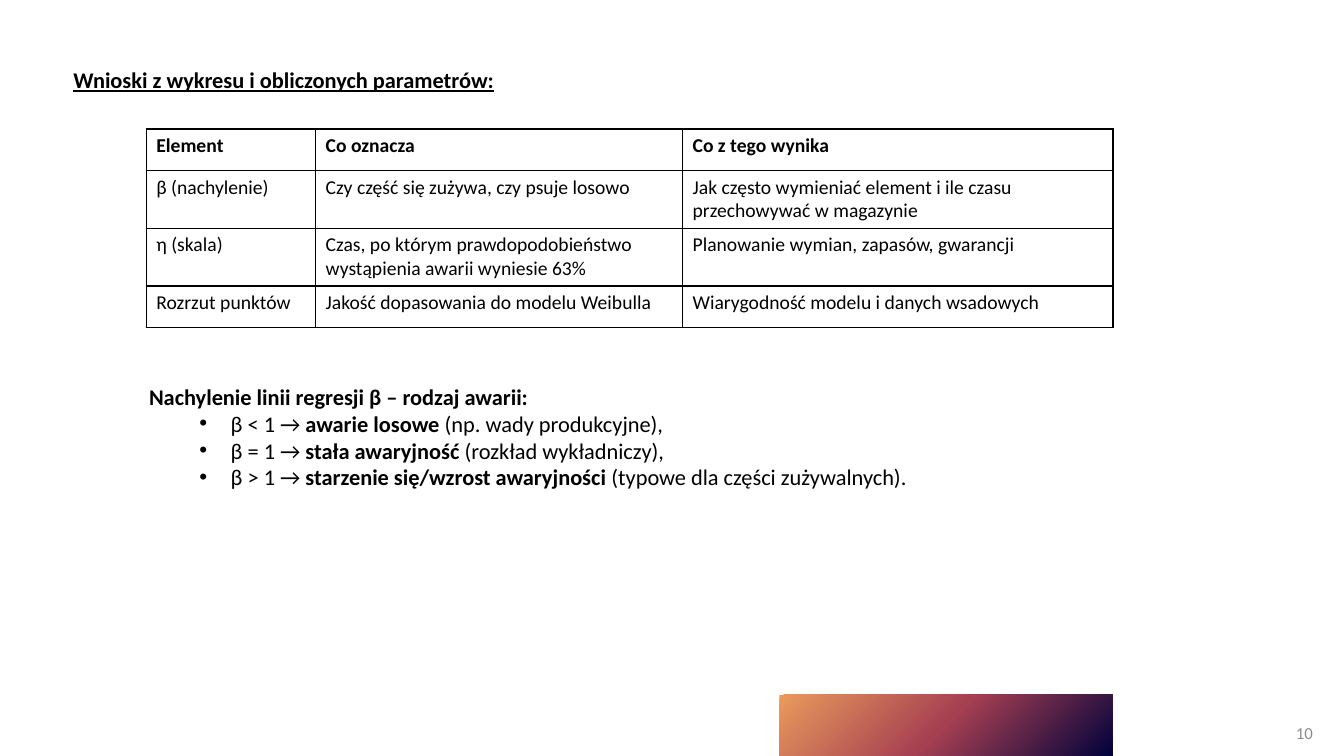
from dataclasses import dataclass

from lxml import etree
from pptx import Presentation
from pptx import util as u
from pptx.dml.color import RGBColor
from pptx.enum import shapes, text
from pptx.oxml import ns


@dataclass(frozen=True)
class Theme:
    font: str = "Calibri"
    ink: str = "000000"
    muted: str = "8C8C8C"
    gradient: tuple = ((0, "01023B"), (50, "A53F52"), (100, "EA9A5C"))
    body_size: int = 16
    table_size: int = 14
    number_size: int = 12
    border_width: int = 1


def add_element(parent, tag, **attributes):
    return etree.SubElement(parent, ns.qn(tag), attributes)


class SlideBuilder:
    def __init__(self, page, theme):
        self.page = page
        self.theme = theme

    def add_spans(self, para, spans, size, color=None, **formats):
        for content, bold in spans:
            span = para.add_run()
            span.text = content
            settings = {"name": self.theme.font, "size": u.Pt(size), "bold": bold, **formats}
            for name, value in settings.items():
                setattr(span.font, name, value)
            span.font.color.rgb = RGBColor.from_string(color or self.theme.ink)

    def text_box(self, place, **formats):
        box = self.page.shapes.add_textbox(*map(u.Inches, place))
        settings = {"word_wrap": True, "auto_size": text.MSO_AUTO_SIZE.NONE, **formats}
        for name, value in settings.items():
            setattr(box.text_frame, name, value)
        return box.text_frame

    def heading(self, place, content, **formats):
        frame = self.text_box(place)
        self.add_spans(frame.paragraphs[0], [(content, True)], self.theme.body_size, **formats)
        return frame

    def bullet(self, frame, spans):
        para = frame.add_paragraph()
        para.level = 1
        properties = para._p.get_or_add_pPr()
        properties.set("marL", str(u.Inches(0.81)))
        properties.set("indent", str(u.Inches(-0.31)))
        add_element(properties, "a:buFont", typeface="Arial")
        add_element(properties, "a:buChar", char="•")
        self.add_spans(para, spans, self.theme.body_size)

    def page_number(self, place, content):
        frame = self.text_box(place, vertical_anchor=text.MSO_ANCHOR.MIDDLE)
        para = frame.paragraphs[0]
        para.alignment = text.PP_ALIGN.RIGHT
        self.add_spans(para, [(content, False)], self.theme.number_size, self.theme.muted)

    def gradient_block(self, place):
        block = self.page.shapes.add_shape(shapes.MSO_SHAPE.RECTANGLE, *map(u.Inches, place))
        block.shadow.inherit = False
        block.line.fill.background()
        block.fill.gradient()
        gradient = block._element.spPr.find(ns.qn("a:gradFill"))
        for child in list(gradient):
            gradient.remove(child)
        stops = add_element(gradient, "a:gsLst")
        for position, color in self.theme.gradient:
            stop = add_element(stops, "a:gs", pos=str(position * 1000))
            add_element(stop, "a:srgbClr", val=color)
        circle = add_element(gradient, "a:path", path="circle")
        add_element(circle, "a:fillToRect", l="100000", t="100000")

    def border(self, cell):
        properties = cell._tc.get_or_add_tcPr()
        for index, side in enumerate(("a:lnL", "a:lnR", "a:lnT", "a:lnB")):
            line = etree.Element(ns.qn(side), w=str(u.Pt(self.theme.border_width)))
            fill = add_element(line, "a:solidFill")
            add_element(fill, "a:srgbClr", val=self.theme.ink)
            properties.insert(index, line)

    def table(self, left, top, widths, row_height, rows):
        place = (left, top, sum(widths), row_height * len(rows))
        frame = self.page.shapes.add_table(len(rows), len(widths), *map(u.Inches, place))
        table = frame.table
        table.horz_banding = False
        for column, width in zip(table.columns, widths):
            column.width = u.Inches(width)
        for row_index, row in enumerate(rows):
            table.rows[row_index].height = u.Inches(row_height)
            for column_index, content in enumerate(row):
                cell = table.cell(row_index, column_index)
                cell.fill.background()
                self.border(cell)
                para = cell.text_frame.paragraphs[0]
                self.add_spans(para, [(content, row_index == 0)], self.theme.table_size)


TABLE_ROWS = [
    ("Element", "Co oznacza", "Co z tego wynika"),
    ("β (nachylenie)", "Czy część się zużywa, czy psuje losowo",
     "Jak często wymieniać element i ile czasu przechowywać w magazynie"),
    ("η (skala)", "Czas, po którym prawdopodobieństwo wystąpienia awarii wyniesie 63%",
     "Planowanie wymian, zapasów, gwarancji"),
    ("Rozrzut punktów", "Jakość dopasowania do modelu Weibulla",
     "Wiarygodność modelu i danych wsadowych"),
]

FAILURE_TYPES = [
    ("<", "awarie losowe", "(np. wady produkcyjne),"),
    ("=", "stała awaryjność", "(rozkład wykładniczy),"),
    (">", "starzenie się/wzrost awaryjności", "(typowe dla części zużywalnych)."),
]


def main():
    deck = Presentation()
    deck.slide_width = u.Inches(13.33)
    deck.slide_height = u.Inches(7.5)
    builder = SlideBuilder(deck.slides.add_slide(deck.slide_layouts[6]), Theme())

    builder.gradient_block((7.73, 6.89, 3.3, 0.61))
    builder.page_number((12.63, 7.07, 0.49, 0.4), "10")
    builder.heading((0.63, 0.61, 5.21, 0.37), "Wnioski z wykresu i obliczonych parametrów:",
                    underline=True)
    failures = builder.heading((1.38, 3.75, 10.31, 1.18),
                               "Nachylenie linii regresji β – rodzaj awarii:")
    for sign, kind, detail in FAILURE_TYPES:
        builder.bullet(failures, [(f"β {sign} 1 → ", False), (kind, True), (f" {detail}", False)])
    builder.table(1.45, 1.28, (1.68, 3.64, 4.27), 0.41, TABLE_ROWS)

    deck.save("out.pptx")


if __name__ == "__main__":
    main()
